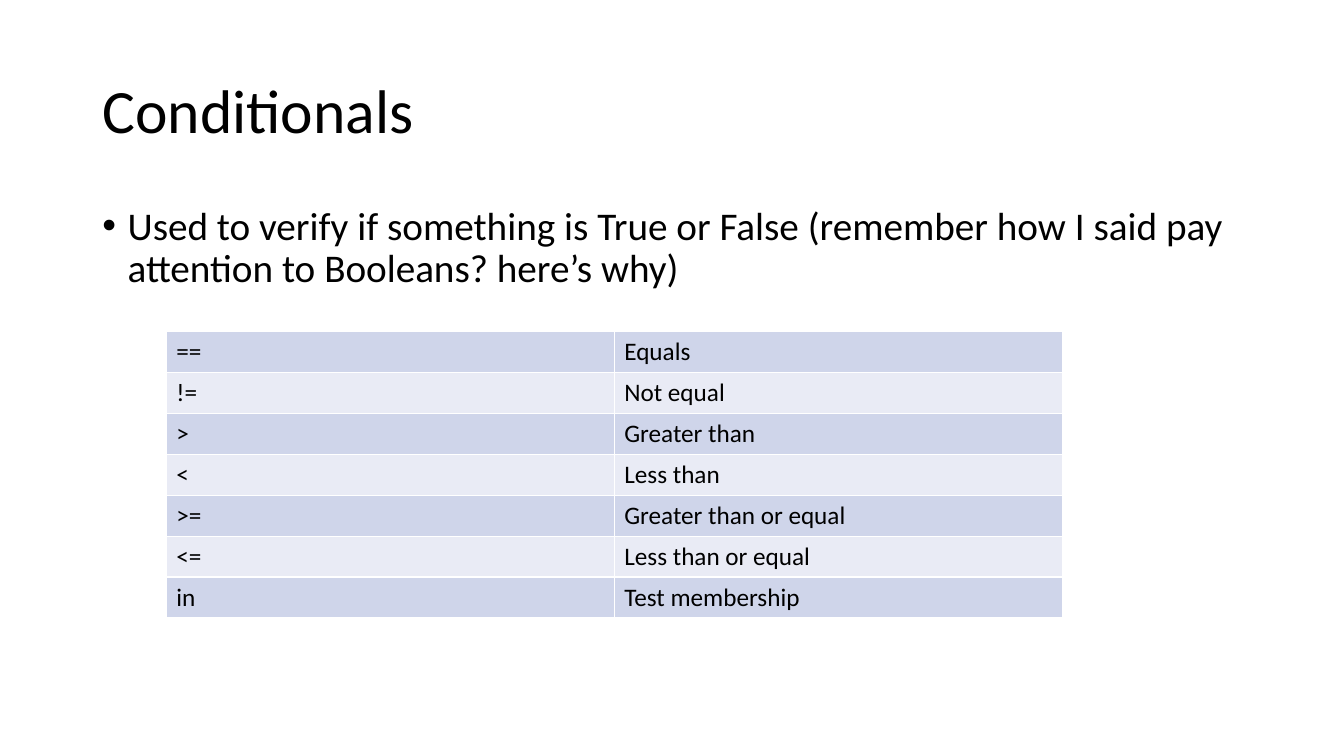
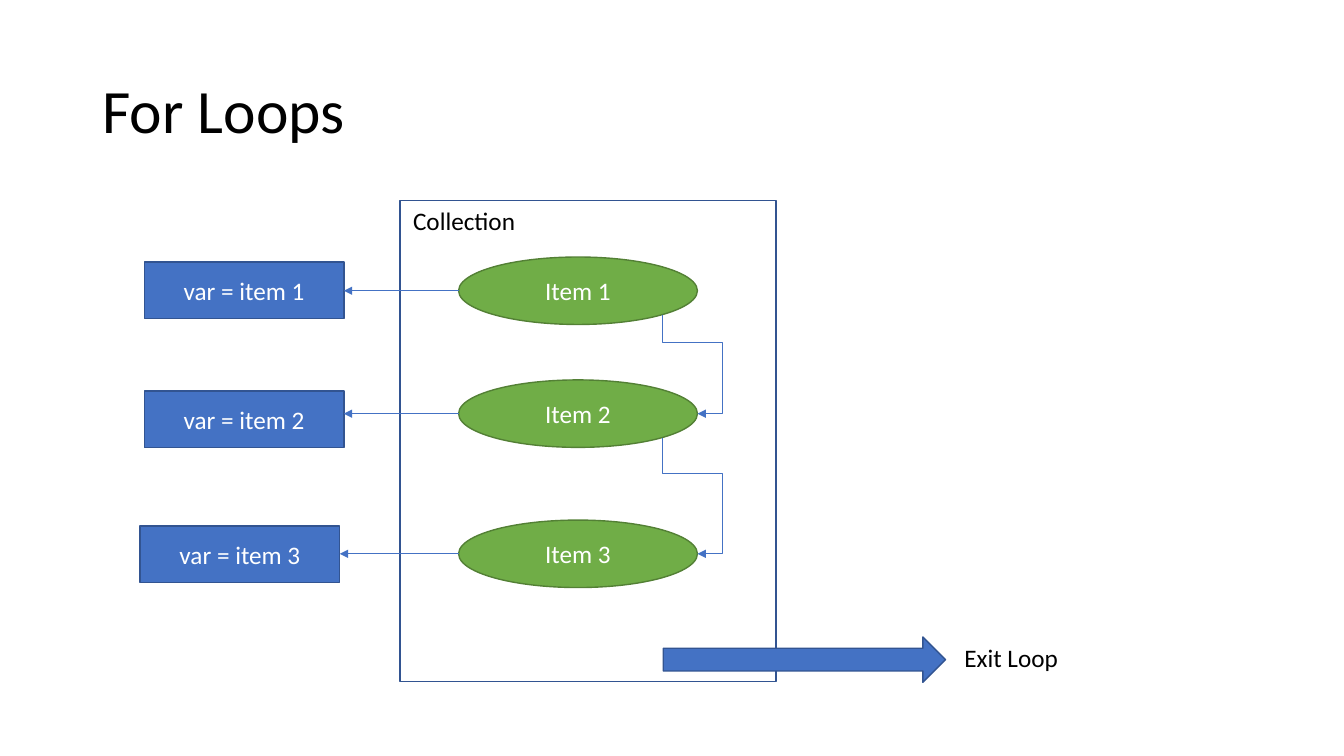
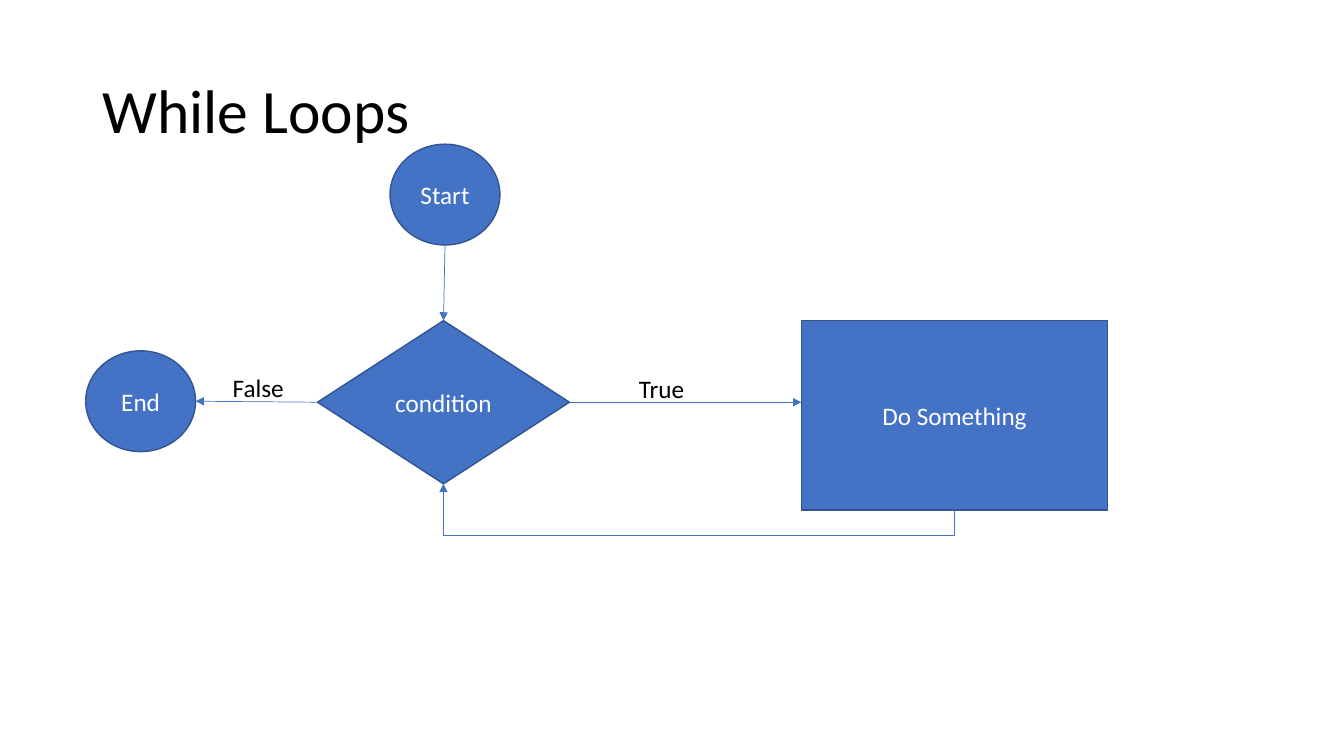
from dataclasses import dataclass

from lxml import etree
from pptx import Presentation
from pptx.dml.color import RGBColor
from pptx.enum.shapes import MSO_CONNECTOR, MSO_SHAPE
from pptx.enum.text import MSO_ANCHOR, MSO_AUTO_SIZE, PP_ALIGN
from pptx.oxml.ns import qn
from pptx.util import Pt

RECT, OVAL, DIAMOND = MSO_SHAPE.RECTANGLE, MSO_SHAPE.OVAL, MSO_SHAPE.DIAMOND
RIGHT_ARROW = MSO_SHAPE.RIGHT_ARROW
STRAIGHT, ELBOW = MSO_CONNECTOR.STRAIGHT, MSO_CONNECTOR.ELBOW
LEFT, CENTER = PP_ALIGN.LEFT, PP_ALIGN.CENTER
TOP, MIDDLE = MSO_ANCHOR.TOP, MSO_ANCHOR.MIDDLE
TITLE_AND_BODY, TITLE_ONLY = 1, 5


@dataclass(frozen=True)
class Theme:
    font: str = "Calibri"
    title_size: int = 44
    body_size: int = 28
    label_size: int = 18
    black: str = "000000"
    white: str = "FFFFFF"
    blue: str = "4472C4"
    blue_edge: str = "325491"
    green: str = "70AD47"
    green_edge: str = "538035"
    bands: tuple = ("CFD5EA", "E9EBF5")


THEME = Theme()


def write(frame, text, size=THEME.label_size, color=THEME.black, align=LEFT,
          anchor=TOP, line_spacing=None, before=0):
    """Put one formatted paragraph into a text frame."""
    frame.word_wrap = True
    frame.vertical_anchor = anchor
    paragraph = frame.paragraphs[0]
    paragraph.alignment = align
    paragraph.line_spacing = line_spacing
    paragraph.space_before = Pt(before)
    run = paragraph.add_run()
    run.text = text
    run.font.name = THEME.font
    run.font.size = Pt(size)
    run.font.color.rgb = RGBColor.from_string(color)
    return paragraph


def link(slide, start, end, bend=None, glue=()):
    """Draw an arrow; bend is (preset, rotation, adjustments),
    glue lists (end tag, shape, connection site)."""
    (x1, y1), (x2, y2) = start, end
    if bend:
        # A quarter-turned elbow swaps width and height around its centre
        mid_x, mid_y = (x1 + x2) / 2, (y1 + y2) / 2
        half_w, half_h = abs(y2 - y1) / 2, abs(x2 - x1) / 2
        x1, y1 = mid_x + half_w, mid_y - half_h
        x2, y2 = mid_x - half_w, mid_y + half_h
    arrow = slide.shapes.add_connector(
        ELBOW if bend else STRAIGHT, Pt(x1), Pt(y1), Pt(x2), Pt(y2))
    arrow.line.color.rgb = RGBColor.from_string(THEME.blue)
    arrow.line.width = Pt(0.5)
    properties = arrow._element.spPr
    etree.SubElement(properties.find(qn("a:ln")), qn("a:tailEnd"), type="triangle")
    etree.SubElement(properties, qn("a:effectLst"))
    if bend:
        preset, rotation, adjustments = bend
        properties.find(qn("a:xfrm")).set("rot", str(rotation * 60000))
        geometry = properties.find(qn("a:prstGeom"))
        geometry.set("prst", preset)
        for number, value in enumerate(adjustments, 1):
            etree.SubElement(geometry.find(qn("a:avLst")), qn("a:gd"),
                             name=f"adj{number}", fmla=f"val {round(value * 100000)}")
    joints = arrow._element.nvCxnSpPr.cNvCxnSpPr
    for tag, shape, site in glue:
        etree.SubElement(joints, qn(f"a:{tag}"), id=str(shape.shape_id), idx=str(site))


# Slides and their shared titles
prs = Presentation()
prs.slide_width, prs.slide_height = Pt(960), Pt(540)
slides = []
for heading, layout in (("Conditionals", TITLE_AND_BODY),
                        ("For Loops", TITLE_ONLY),
                        ("While Loops", TITLE_ONLY)):
    slide = prs.slides.add_slide(prs.slide_layouts[layout])
    title = slide.shapes.title
    title.left, title.top, title.width, title.height = Pt(66), Pt(28.8), Pt(828), Pt(104.4)
    title.text_frame.auto_size = MSO_AUTO_SIZE.NONE
    write(title.text_frame, heading, size=THEME.title_size, anchor=MIDDLE, line_spacing=0.9)
    slides.append(slide)
conditionals, for_loops, while_loops = slides

# Conditionals: purpose
purpose = conditionals.placeholders[1]
purpose.left, purpose.top, purpose.width, purpose.height = Pt(66), Pt(144), Pt(828), Pt(342.7)
purpose.text_frame.auto_size = MSO_AUTO_SIZE.NONE
bullet = write(
    purpose.text_frame,
    "Used to verify if something is True or False "
    "(remember how I said pay attention to Booleans? here’s why)",
    size=THEME.body_size, line_spacing=0.9, before=10)
indent = bullet._p.get_or_add_pPr()
indent.set("marL", str(Pt(18)))
indent.set("indent", str(Pt(-18)))

# Conditionals: table of operators
OPERATORS = (
    ("==", "Equals"),
    ("!=", "Not equal"),
    (">", "Greater than"),
    ("<", "Less than"),
    (">=", "Greater than or equal"),
    ("<=", "Less than or equal"),
    ("in", "Test membership"),
)
operators = conditionals.shapes.add_table(
    len(OPERATORS), 2, Pt(118.8), Pt(237), Pt(640), Pt(29.2 * len(OPERATORS))).table
operators.first_row = False
for row, entry in enumerate(OPERATORS):
    for column, text in enumerate(entry):
        cell = operators.cell(row, column)
        cell.fill.solid()
        cell.fill.fore_color.rgb = RGBColor.from_string(THEME.bands[row % 2])
        write(cell.text_frame, text)

# Diagram parts: slide, preset (None for plain text), box, fill, edge, label
BLUE = (THEME.blue, THEME.blue_edge)
GREEN = (THEME.green, THEME.green_edge)
PAPER = (THEME.white, THEME.blue_edge)
PLAIN = (None, None)
ITEM_LEFT, ITEM_W, ITEM_H = 327.6, 170.6, 48.2
ITEM_TOPS = (183.6, 271.4, 371.5)
VARIABLES = ((103, 187.2), (103, 279.4), (100.1, 375.8))
VAR_W, VAR_H = 142.6, 40.3

parts = [(for_loops, RECT, (285.8, 143.3, 268.6, 343.4), PAPER, "")]
for number, top in enumerate(ITEM_TOPS, 1):
    parts.append((for_loops, OVAL, (ITEM_LEFT, top, ITEM_W, ITEM_H), GREEN, f"Item {number}"))
for number, corner in enumerate(VARIABLES, 1):
    parts.append((for_loops, RECT, (*corner, VAR_W, VAR_H), BLUE, f"var = item {number}"))
parts += [
    (for_loops, None, (288, 143.3, 100.8, 28.8), PLAIN, "Collection"),
    (for_loops, RIGHT_ARROW, (473.8, 455, 201.6, 32.4), BLUE, ""),
    (for_loops, None, (681.8, 455, 133.9, 28.8), PLAIN, "Exit Loop"),
    (while_loops, RECT, (572.4, 229, 218.9, 135.4), BLUE, "Do Something"),
    (while_loops, DIAMOND, (226.8, 229, 180, 116.6), BLUE, "condition"),
    (while_loops, OVAL, (278.6, 103, 78.5, 72), BLUE, "Start"),
    (while_loops, OVAL, (61.2, 250.6, 78.5, 72), BLUE, "End"),
    (while_loops, None, (449.3, 262.8, 49.7, 28.8), PLAIN, "True"),
    (while_loops, None, (159.1, 262.1, 59, 28.8), PLAIN, "False"),
]
nodes = {}
for slide, preset, box, (fill, edge), label in parts:
    box = [Pt(length) for length in box]
    if preset is None:
        write(slide.shapes.add_textbox(*box).text_frame, label)
        continue
    node = slide.shapes.add_shape(preset, *box)
    node.shadow.inherit = False
    node.fill.solid()
    node.fill.fore_color.rgb = RGBColor.from_string(fill)
    node.line.color.rgb = RGBColor.from_string(edge)
    node.line.width = Pt(1)
    if label:
        write(node.text_frame, label, color=THEME.white, align=CENTER, anchor=MIDDLE)
        nodes[label] = node

# For loops: each item feeds its variable
for number, (top, (var_left, _)) in enumerate(zip(ITEM_TOPS, VARIABLES), 1):
    middle = top + ITEM_H / 2
    link(for_loops, (ITEM_LEFT, middle), (var_left + VAR_W, middle),
         glue=[("stCxn", nodes[f"Item {number}"], 2)])

# For loops: each item leads to the next one
DIAGONAL = (1 + 0.5 ** 0.5) / 2
for number, drop in ((1, 0.282), (2, 0.312)):
    link(for_loops,
         (ITEM_LEFT + ITEM_W * DIAGONAL, ITEM_TOPS[number - 1] + ITEM_H * DIAGONAL),
         (ITEM_LEFT + ITEM_W, ITEM_TOPS[number] + ITEM_H / 2),
         bend=("bentConnector4", 270, (drop, 1.72)),
         glue=[("stCxn", nodes[f"Item {number}"], 5),
               ("endCxn", nodes[f"Item {number + 1}"], 6)])

# While loops: flow between the steps
start, end = nodes["Start"], nodes["End"]
condition, action = nodes["condition"], nodes["Do Something"]
link(while_loops, (317.9, 175), (316.8, 229),
     glue=[("stCxn", start, 4), ("endCxn", condition, 0)])
link(while_loops, (406.8, 287.3), (572.4, 287.3), glue=[("stCxn", condition, 3)])
link(while_loops, (226.8, 287.3), (139.7, 286.6),
     glue=[("stCxn", condition, 1), ("endCxn", end, 6)])
link(while_loops, (681.9, 364.4), (316.8, 345.6),
     bend=("bentConnector3", 90, (-0.957,)),
     glue=[("stCxn", action, 2), ("endCxn", condition, 2)])

prs.save("out.pptx")
